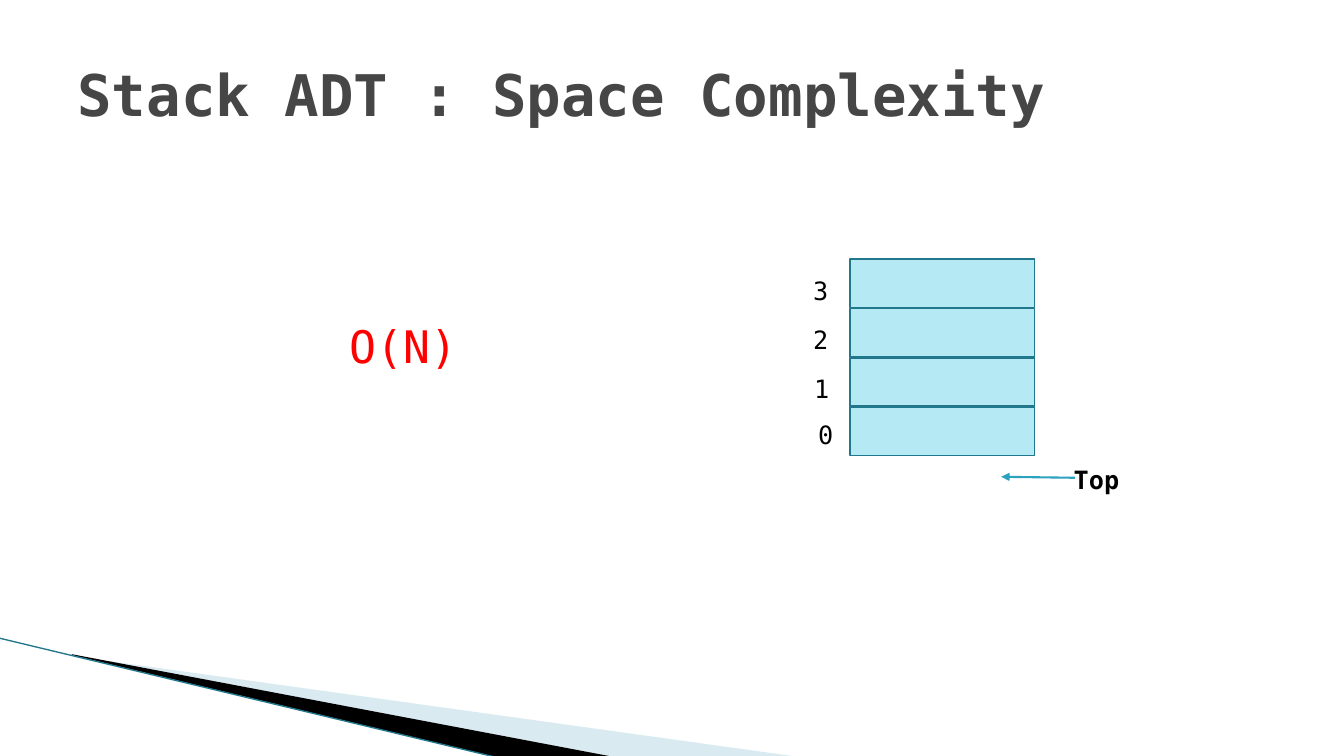
from lxml.etree import SubElement
from pptx import Presentation
from pptx.dml.color import RGBColor
from pptx.enum.shapes import MSO_CONNECTOR, MSO_SHAPE
from pptx.enum.text import MSO_ANCHOR, PP_ALIGN
from pptx.oxml.ns import qn
from pptx.util import Inches, Pt

FONT = "DejaVu Sans Mono"
TITLE = "Stack ADT : Space Complexity"
COMPLEXITY = "O(N)"
POINTER = "Top"

# Each wedge: points, colour, opacity in percent
WEDGES = [
    ([(0.73, 6.51), (7.93, 7.51), (6.08, 7.51), (0.73, 6.5)], "A0CBDC", 40),
    ([(0.71, 6.49), (6.09, 7.51), (4.96, 7.52), (0.72, 6.5)], "000000", 100),
]
# Index of each cell from the top down, with left and top of its label
LABELS = [("3", 7.52, 2.64), ("2", 7.52, 3.13), ("1", 7.53, 3.61), ("0", 7.57, 4.07)]
CELL_LEFT, CELL_TOP, CELL_W, CELL_H, CELL_STEP = 8.43, 2.57, 1.83, 0.48, 0.49
LABEL_W = 1.24

LABEL_FORMAT = {"size": Pt(18), "name": FONT}


def rgb(value):
    return RGBColor.from_string(value)


def add_text(s, text, box, color, fmt, align=PP_ALIGN.CENTER,
             anchor=MSO_ANCHOR.MIDDLE):
    tf = s.shapes.add_textbox(*map(Inches, box)).text_frame
    tf.word_wrap = True
    tf.vertical_anchor = anchor
    p = tf.paragraphs[0]
    p.alignment = align
    r = p.add_run()
    r.text = text
    for key, value in fmt.items():
        setattr(r.font, key, value)
    r.font.color.rgb = rgb(color)
    return p


def add_line(s, start, end, color, width, arrow=False):
    sp = s.shapes.add_connector(MSO_CONNECTOR.STRAIGHT, *map(Inches, start + end))
    sp.line.color.rgb = rgb(color)
    sp.line.width = Pt(width)
    if arrow:
        SubElement(sp.line._get_or_add_ln(), qn("a:tailEnd"), type="triangle")
    SubElement(sp._element.spPr, qn("a:effectLst"))


def add_wedge(s, points, color, opacity):
    corners = [(Inches(x), Inches(y)) for x, y in points]
    builder = s.shapes.build_freeform(*corners[0])
    builder.add_line_segments(corners[1:], close=True)
    sp = builder.convert_to_shape()
    sp.shadow.inherit = False
    sp.fill.solid()
    sp.fill.fore_color.rgb = rgb(color)
    sp.line.fill.background()
    if opacity < 100:
        clr = sp._element.spPr.find(qn("a:solidFill"))[0]
        SubElement(clr, qn("a:alpha"), val=str(opacity * 1000))


def add_cell(s, top):
    box = (CELL_LEFT, top, CELL_W, CELL_H)
    sp = s.shapes.add_shape(MSO_SHAPE.RECTANGLE, *map(Inches, box))
    sp.shadow.inherit = False
    sp.fill.solid()
    sp.fill.fore_color.rgb = rgb("B5E9F4")
    sp.line.color.rgb = rgb("21788D")
    sp.line.width = Pt(1.25)


def main():
    prs = Presentation()
    prs.slide_width, prs.slide_height = Inches(13.33), Inches(7.5)
    s = prs.slides.add_slide(prs.slide_layouts[6])

    for wedge in WEDGES:
        add_wedge(s, *wedge)
    add_line(s, (-0.01, 6.33), (4.95, 7.52), "21788D", 0.95)

    add_text(s, TITLE, (0.67, 0.3, 12, 1.25), "464646",
             {"size": Pt(41), "name": FONT, "bold": True}, PP_ALIGN.LEFT)
    p = add_text(s, COMPLEXITY, (1.38, 3.22, 5.24, 0.57), "FF0000",
                 {"size": Pt(32), "name": FONT}, anchor=MSO_ANCHOR.TOP)
    p.line_spacing = 0.8

    add_line(s, (10.66, 4.74), (9.93, 4.73), "2DA2BF", 1.5, arrow=True)
    add_text(s, POINTER, (10.23, 4.56, 1.29, 0.4), "000000",
             {**LABEL_FORMAT, "bold": True}, anchor=MSO_ANCHOR.TOP)

    for row, (index, left, top) in enumerate(LABELS):
        add_cell(s, CELL_TOP + row * CELL_STEP)
        add_text(s, index, (left, top, LABEL_W, CELL_H), "000000", LABEL_FORMAT)

    prs.save("out.pptx")


if __name__ == "__main__":
    main()
